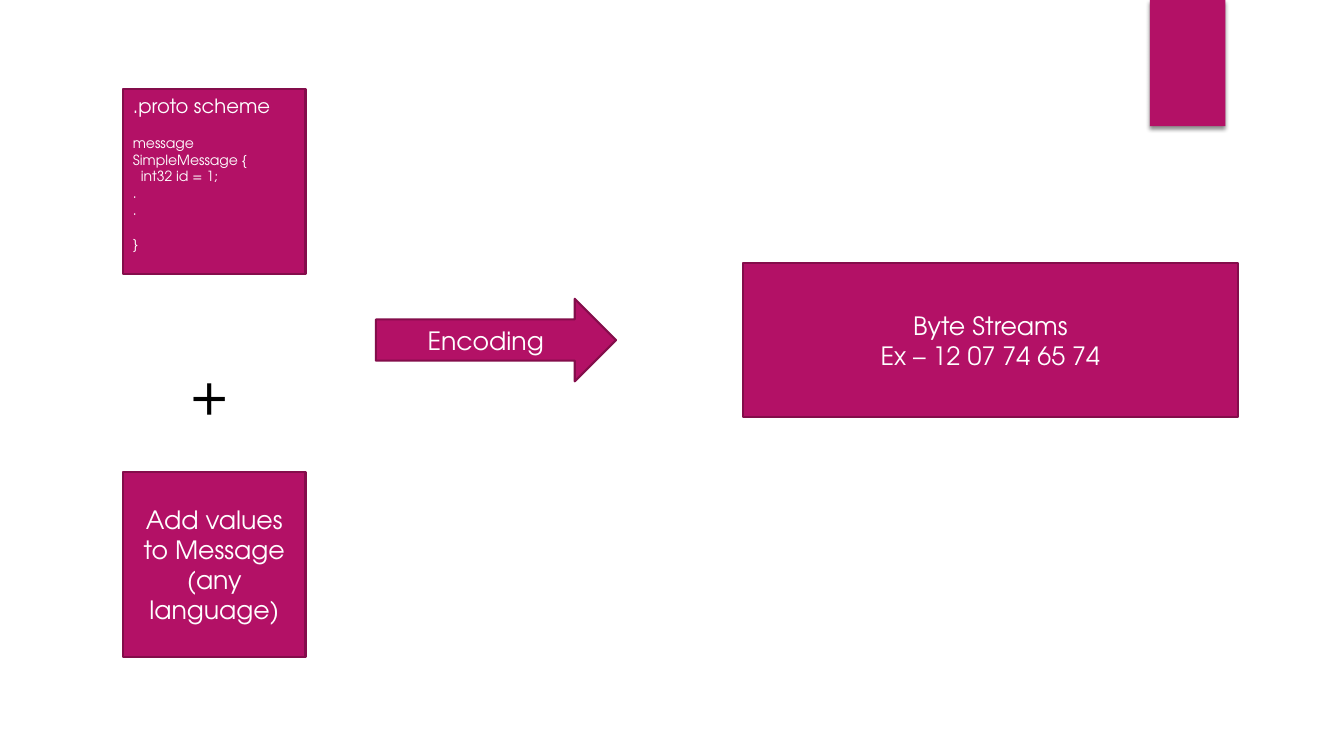
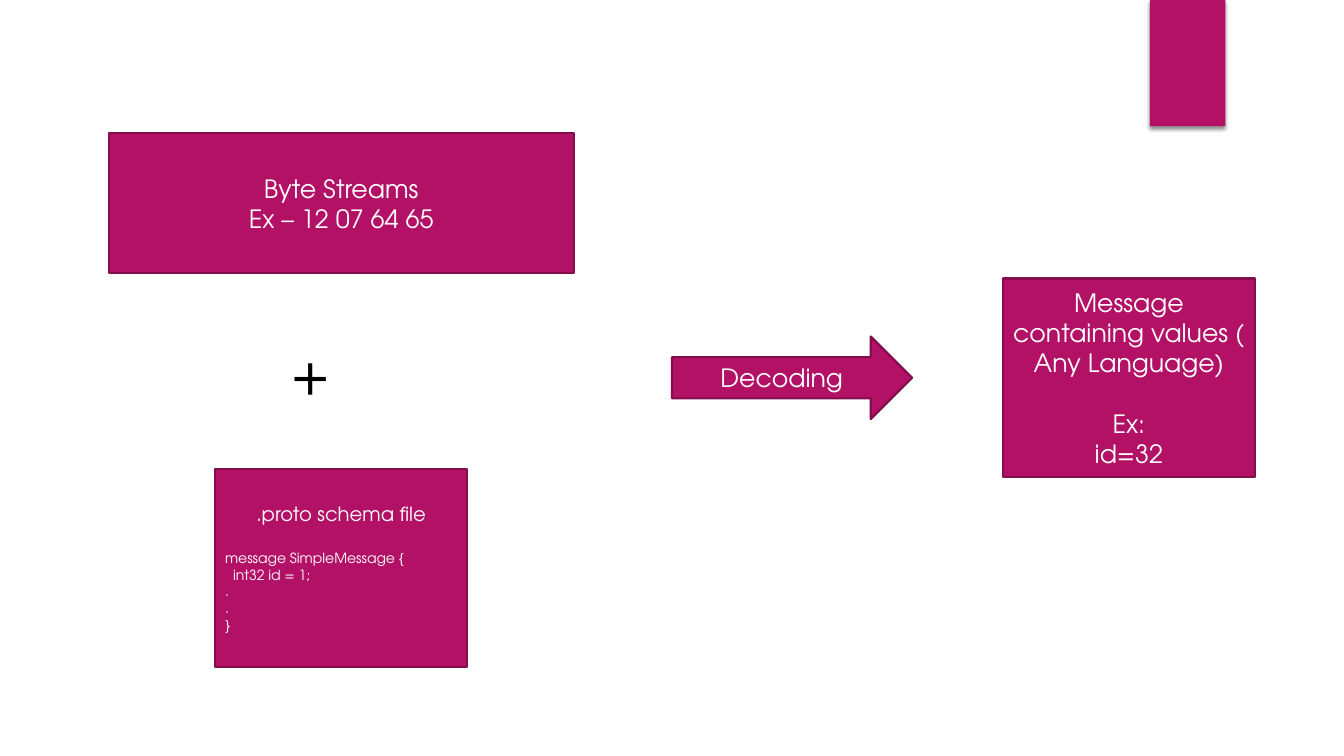
from dataclasses import dataclass

from lxml.etree import SubElement
from pptx import Presentation
from pptx.dml.color import RGBColor
from pptx.enum.shapes import MSO_SHAPE
from pptx.enum.text import MSO_ANCHOR, PP_ALIGN
from pptx.oxml.ns import qn
from pptx.util import Cm, Pt


@dataclass(frozen=True)
class Theme:
    fill: RGBColor = RGBColor(0xB3, 0x11, 0x66)
    outline: RGBColor = RGBColor(0x84, 0x0D, 0x4B)
    light: RGBColor = RGBColor(0xFF, 0xFF, 0xFF)
    dark: RGBColor = RGBColor(0x00, 0x00, 0x00)
    font: str = "TeX Gyre Adventor"
    plus: int = 40
    body: int = 18
    heading: int = 14
    code: int = 10
    outline_width: float = 1.5
    line_height: float = 1.2


THEME = Theme()
PROCESS = MSO_SHAPE.FLOWCHART_PROCESS
ARROW = MSO_SHAPE.RIGHT_ARROW
ARROW_SIZE = (6.05, 2.08)
SCHEME_SIZE = (4.6, 4.67)
SCHEMA_SIZE = (6.35, 5)

CODE = {"size": THEME.code, "align": PP_ALIGN.LEFT}
CODE_GAP = THEME.code * THEME.line_height
HEADING_GAP = THEME.heading * THEME.line_height
BODY_GAP = THEME.body * THEME.line_height


def code_lines(gap, closing_gap=0):
    return [
        ("message SimpleMessage {", {**CODE, "before": gap}),
        ("int32 id = 1;", {**CODE, "indent": 0.2}),
        (".", CODE),
        (".", CODE),
        ("}", {**CODE, "before": closing_gap}),
    ]


ENCODING_ROW, ENCODING_COLUMN = 8.57, 5.4
DECODING_ROW, DECODING_COLUMN = 9.52, 8.6

SLIDES = [
    {
        "plus": ((ENCODING_COLUMN, 9.87), (1.75, 1.96)),
        "boxes": [
            (PROCESS, (ENCODING_COLUMN, 4.57), SCHEME_SIZE,
             [(".proto scheme", {"size": THEME.heading, "align": PP_ALIGN.LEFT}),
              *code_lines(CODE_GAP, CODE_GAP)], CODE_GAP),
            (PROCESS, (ENCODING_COLUMN, 14.22), SCHEME_SIZE,
             [("Add values to Message (any language)", {})], 0),
            (PROCESS, (24.96, ENCODING_ROW), (12.47, 3.89),
             [("Byte Streams", {}), ("Ex – 12 07 74 65 74", {})], 0),
            (ARROW, (12.5, ENCODING_ROW), ARROW_SIZE, [("Encoding", {})], 0),
        ],
    },
    {
        "plus": ((8.47, 9.36), (2.82, 1.96)),
        "boxes": [
            (PROCESS, (DECODING_COLUMN, 5.12), (11.71, 3.53),
             [("Byte Streams", {}), ("Ex – 12 07 64 65", {})], 0),
            (PROCESS, (DECODING_COLUMN, 14.31), SCHEMA_SIZE,
             [(".proto schema file", {"size": THEME.heading}),
              *code_lines(HEADING_GAP)], 0),
            (ARROW, (19.96, DECODING_ROW), ARROW_SIZE, [("Decoding", {})], 0),
            (PROCESS, (28.45, DECODING_ROW), SCHEMA_SIZE,
             [("Message containing values ( Any Language)", {}),
              ("Ex:", {"before": BODY_GAP}),
              ("id=32", {})], 0),
        ],
    },
]


def write(para, text, size=THEME.body, color=THEME.light,
          align=PP_ALIGN.CENTER, before=0, indent=0):
    para.alignment = align
    para.space_before = Pt(before)
    if indent:
        para._p.get_or_add_pPr().set("marL", str(Cm(indent)))
    span = para.add_run()
    span.text = text
    span.font.name = THEME.font
    span.font.size = Pt(size)
    span.font.color.rgb = color


def frame_around(center, size):
    left_top = [middle - length / 2 for middle, length in zip(center, size)]
    return [Cm(value) for value in (*left_top, *size)]


def add_box(page, kind, center, size, lines, bottom_gap):
    box = page.shapes.add_shape(kind, *frame_around(center, size))
    box.shadow.inherit = False
    box.fill.solid()
    box.fill.fore_color.rgb = THEME.fill
    box.line.color.rgb = THEME.outline
    box.line.width = Pt(THEME.outline_width)
    frame = box.text_frame
    frame.word_wrap = True
    frame.vertical_anchor = MSO_ANCHOR.MIDDLE
    frame.margin_bottom += Pt(bottom_gap)
    for index, (text, style) in enumerate(lines):
        para = frame.add_paragraph() if index else frame.paragraphs[0]
        write(para, text, **style)


def add_plus(page, center, size):
    box = page.shapes.add_textbox(*frame_around(center, size))
    box.text_frame.word_wrap = True
    write(box.text_frame.paragraphs[0], "+", size=THEME.plus,
          color=THEME.dark, align=PP_ALIGN.LEFT)


def add_layout_tab(page):
    tab = page.shapes.add_shape(MSO_SHAPE.RECTANGLE, Cm(28.98), 0, Cm(1.9), Cm(3.18))
    tab.shadow.inherit = False
    tab.fill.solid()
    tab.fill.fore_color.rgb = THEME.fill
    tab.line.fill.background()
    effects = tab.element.spPr.find(qn("a:effectLst"))
    shadow = SubElement(effects, qn("a:outerShdw"), blurRad=str(Pt(3)),
                        dist=str(Pt(2)), dir="5400000", rotWithShape="0")
    color = SubElement(shadow, qn("a:srgbClr"), val=str(THEME.dark))
    SubElement(color, qn("a:alpha"), val="45000")
    tab.element.nvSpPr.cNvPr.set("id", "20")
    page.slide_layout.element.cSld.spTree.append(tab.element)


def main():
    deck = Presentation()
    deck.slide_width, deck.slide_height = Cm(33.87), Cm(19.05)
    blank = deck.slide_layouts[6]
    for number, content in enumerate(SLIDES):
        page = deck.slides.add_slide(blank)
        if number == 0:
            add_layout_tab(page)
        for box in content["boxes"]:
            add_box(page, *box)
        add_plus(page, *content["plus"])
    deck.save("out.pptx")


if __name__ == "__main__":
    main()
